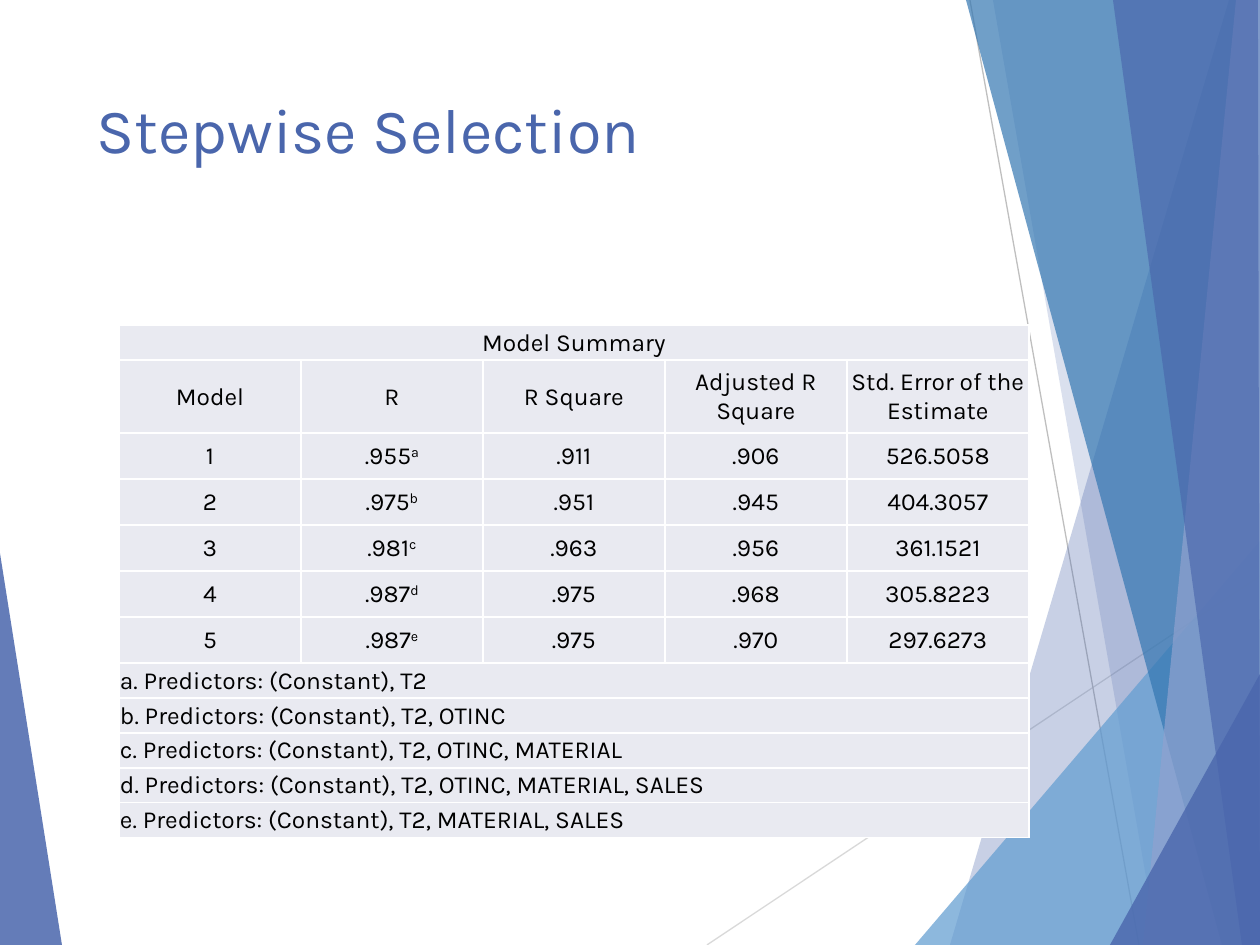
from lxml import etree
from pptx import Presentation
from pptx import util as u
from pptx.dml.color import RGBColor
from pptx.enum import shapes, text
from pptx.oxml.ns import qn

PX = 914400 // 126
FONT = "Karla"
COLOURS = {
    "indigo": "4A66AC", "sky": "629DD1", "steel": "3477B2", "lavender": "90A2CF",
    "cell": "E9EAF1", "white": "FFFFFF", "black": "000000",
    "pale_grey": "D9D9D9", "grey": "BFBFBF",
}
TITLE = "Stepwise Selection"
CAPTION = "Model Summary"
HEADINGS = ["Model", "R", "R Square", "Adjusted R Square", "Std. Error of the Estimate"]
MODELS = [
    ("1", ".955", "a", ".911", ".906", "526.5058"),
    ("2", ".975", "b", ".951", ".945", "404.3057"),
    ("3", ".981", "c", ".963", ".956", "361.1521"),
    ("4", ".987", "d", ".975", ".968", "305.8223"),
    ("5", ".987", "e", ".975", ".970", "297.6273"),
]
NOTES = [
    "a. Predictors: (Constant), T2",
    "b. Predictors: (Constant), T2, OTINC",
    "c. Predictors: (Constant), T2, OTINC, MATERIAL",
    "d. Predictors: (Constant), T2, OTINC, MATERIAL, SALES",
    "e. Predictors: (Constant), T2, MATERIAL, SALES",
]
RAYS = [
    ("pale_grey", (707, 945, 1260, 576)),
    ("grey", (970, 0, 1139, 945)),
]
FACETS = [
    ("indigo", 85, [(0, 553), (62, 945), (0, 945)]),
    ("indigo", 30, [(1229, 0), (950, 945), (1260, 945), (1260, 0)]),
    ("indigo", 20, [(993, 0), (1158, 945), (1260, 945), (1260, 0)]),
    ("sky", 72, [(915, 945), (1260, 541), (1260, 945)]),
    ("steel", 70, [(966, 0), (1222, 945), (1260, 945), (1260, 0)]),
    ("lavender", 70, [(1236, 0), (1143, 945), (1260, 945), (1260, 0)]),
    ("indigo", 65, [(1113, 0), (1242, 945), (1260, 945), (1258, 0)]),
    ("indigo", 80, [(1110, 945), (1260, 674), (1260, 945)]),
]
TABLE_LEFT, TABLE_TOP, COLUMN = 119, 325, 182
CAPTION_ROW, HEADING_ROW, MODEL_ROW = 35, 73, 46


def rgb(name):
    return RGBColor.from_string(COLOURS[name])


def write(frame, words, size=14, colour="black", align=text.PP_ALIGN.CENTER, mark=""):
    paragraph = frame.paragraphs[0]
    paragraph.alignment = align
    for part in filter(None, (words, mark)):
        run = paragraph.add_run()
        run.text = part
        run.font.name = FONT
        run.font.size = u.Pt(size)
        run.font.color.rgb = rgb(colour)
    if mark:
        run._r.get_or_add_rPr().set("baseline", "30000")


def add_ray(slide, colour, ends):
    ray = slide.shapes.add_connector(
        shapes.MSO_CONNECTOR.STRAIGHT, *(end * PX for end in ends))
    ray.line.color.rgb = rgb(colour)
    ray.line.width = u.Pt(0.75)
    etree.SubElement(ray._element.spPr, qn("a:effectLst"))


def add_facet(slide, colour, opacity, corners):
    outline = slide.shapes.build_freeform(*corners[0], scale=PX)
    outline.add_line_segments(corners[1:], close=True)
    facet = outline.convert_to_shape()
    facet.shadow.inherit = False
    facet.line.fill.background()
    facet.fill.solid()
    facet.fill.fore_color.rgb = rgb(colour)
    tint = facet._element.spPr.find(qn("a:solidFill"))[0]
    etree.SubElement(tint, qn("a:alpha"), val=str(opacity * 1000))


def style_cell(cell):
    properties = cell._tc.get_or_add_tcPr()
    for side in ("a:lnL", "a:lnR", "a:lnT", "a:lnB"):
        border = etree.SubElement(properties, qn(side), w=str(u.Pt(1)))
        paint = etree.SubElement(border, qn("a:solidFill"))
        etree.SubElement(paint, qn("a:srgbClr"), val=COLOURS["white"])
    cell.fill.solid()
    cell.fill.fore_color.rgb = rgb("cell")
    cell.vertical_anchor = text.MSO_ANCHOR.MIDDLE
    cell.margin_left = cell.margin_right = cell.margin_top = PX
    cell.margin_bottom = 0


def add_summary(slide):
    heights = ([CAPTION_ROW, HEADING_ROW] + [MODEL_ROW] * len(MODELS)
               + [CAPTION_ROW] * len(NOTES))
    summary = slide.shapes.add_table(
        len(heights), len(HEADINGS), TABLE_LEFT * PX, TABLE_TOP * PX,
        COLUMN * len(HEADINGS) * PX, sum(heights) * PX).table
    for row, height in zip(summary.rows, heights):
        row.height = height * PX
    for cell in summary.iter_cells():
        style_cell(cell)

    first_note = 2 + len(MODELS)
    wide_rows = [(0, CAPTION, text.PP_ALIGN.CENTER)]
    wide_rows += [(r, note, text.PP_ALIGN.LEFT) for r, note in enumerate(NOTES, first_note)]
    for r, words, align in wide_rows:
        summary.cell(r, 0).merge(summary.cell(r, len(HEADINGS) - 1))
        write(summary.cell(r, 0).text_frame, words, align=align)
    for c, heading in enumerate(HEADINGS):
        write(summary.cell(1, c).text_frame, heading)
    for r, (model, fit, mark, *measures) in enumerate(MODELS, 2):
        for c, value in enumerate((model, fit, *measures)):
            write(summary.cell(r, c).text_frame, value, mark=mark if c == 1 else "")


def main():
    deck = Presentation()
    deck.slide_width, deck.slide_height = 1260 * PX, 945 * PX
    slide = deck.slides.add_slide(deck.slide_layouts[5])
    for colour, ends in RAYS:
        add_ray(slide, colour, ends)
    for facet in FACETS:
        add_facet(slide, *facet)

    title = slide.shapes.title
    title.left, title.top, title.width, title.height = (n * PX for n in (84, 84, 875, 182))
    title.text_frame.auto_size = text.MSO_AUTO_SIZE.NONE
    title.text_frame.vertical_anchor = text.MSO_ANCHOR.TOP
    write(title.text_frame, TITLE, size=36, colour="indigo", align=text.PP_ALIGN.LEFT)

    add_summary(slide)
    deck.save("out.pptx")


if __name__ == "__main__":
    main()
